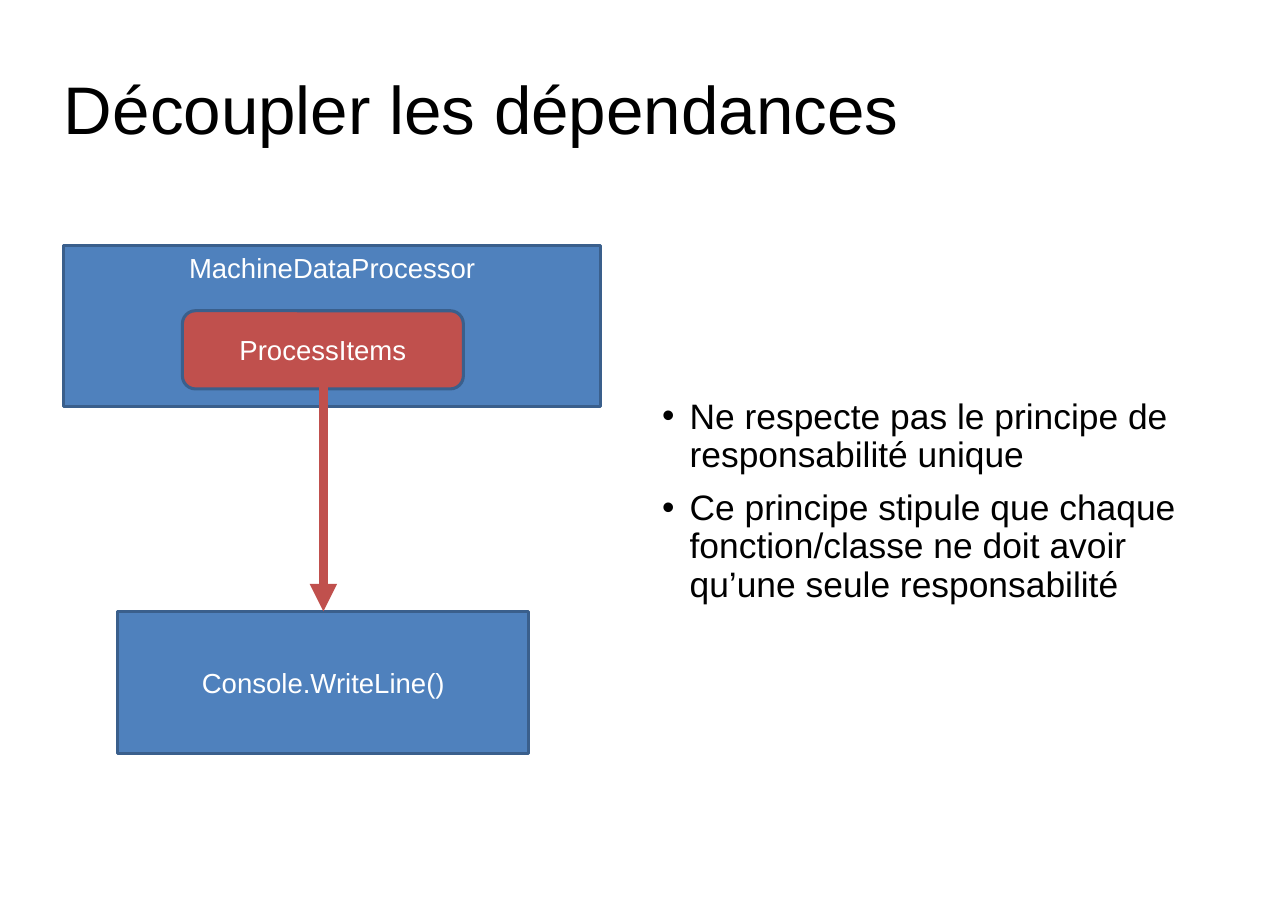
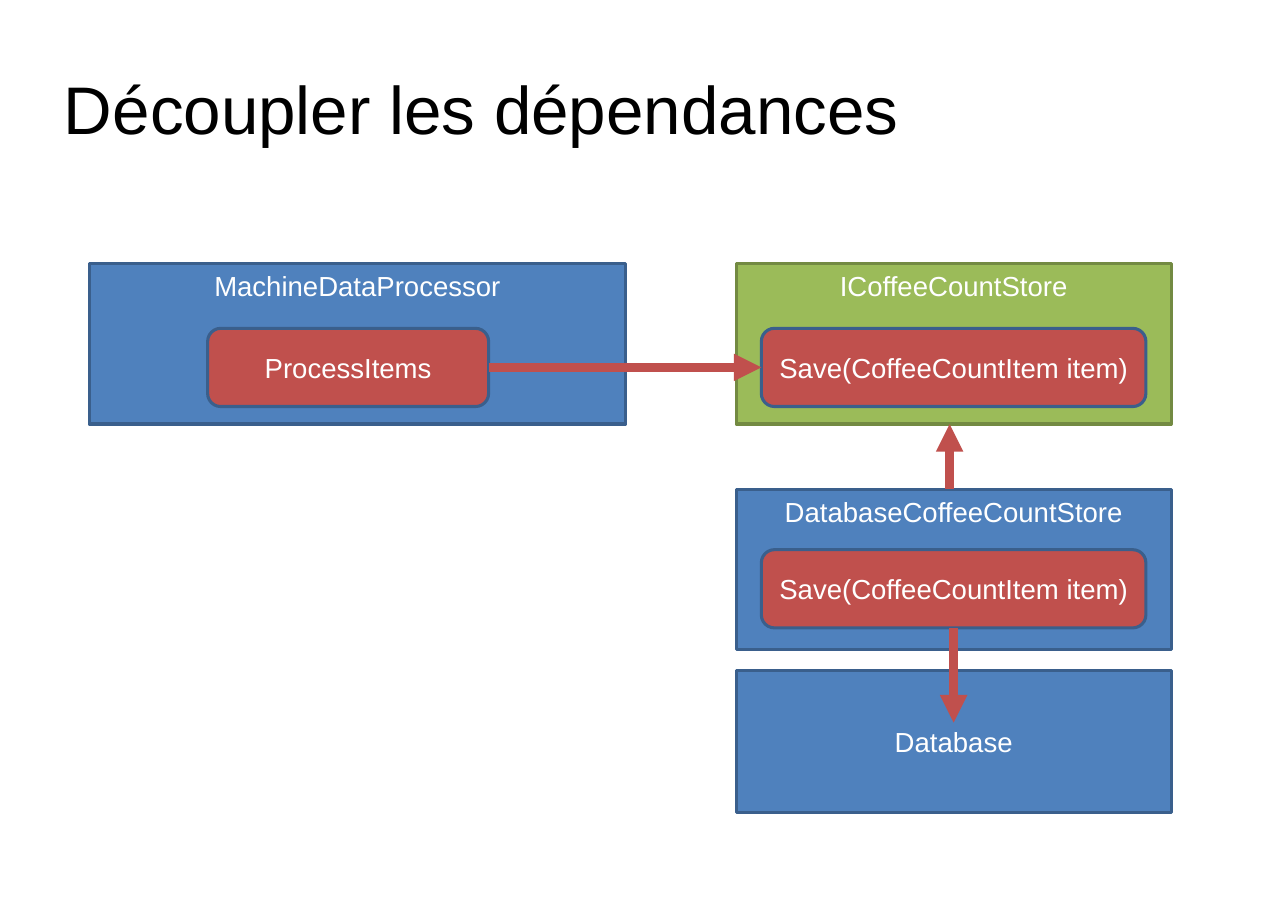
from dataclasses import dataclass

from lxml import etree
from pptx import Presentation
from pptx.dml.color import RGBColor
from pptx.enum import shapes, text
from pptx.oxml import ns
from pptx.util import Pt


@dataclass(frozen=True)
class Theme:
    font: str = "Arial"
    ink: str = "000000"
    light: str = "FFFFFF"
    blue: str = "4F81BD"
    navy: str = "3A5F8C"
    green: str = "9BBB59"
    olive: str = "738A42"
    red: str = "C0504D"
    title: float = 44
    body: float = 23.1
    label: float = 18
    edge: float = 2
    arrow: float = 6


T = Theme()
WIDE, HIGH = 841.68, 595.44
LEFT = 41.8
CLASS_W, CLASS_H = 350.6, 105.1
STORE_W = 284.4
ITEM_W, SAVE_W, CALL_H = 183.6, 251.3, 51.1
END_H = 92.9
ITEM_X, CALL_Y = 77.4, 42.5
TOP, BASE, SIDE_L, SIDE_R = 0, 2, 1, 3

RECT = shapes.MSO_SHAPE.RECTANGLE
ROUND = shapes.MSO_SHAPE.ROUNDED_RECTANGLE
MID = text.MSO_ANCHOR.MIDDLE
HEAD = text.MSO_ANCHOR.TOP


def rgb(code):
    return RGBColor.from_string(code)


def add_run(para, words, size, color):
    run = para.add_run()
    run.text = words
    run.font.name = T.font
    run.font.size = Pt(size)
    run.font.color.rgb = rgb(color)


def add_bullet(para):
    props = para._p.get_or_add_pPr()
    props.set("marL", str(Pt(18)))
    props.set("indent", str(-Pt(18)))
    etree.SubElement(props, ns.qn("a:buFont"), typeface=T.font)
    etree.SubElement(props, ns.qn("a:buChar"), char="•")


def add_text(slide, at, lines, size, anchor=HEAD, bullet=False):
    frame = slide.shapes.add_textbox(*map(Pt, at)).text_frame
    frame.word_wrap = True
    frame.vertical_anchor = anchor
    frame.margin_left = frame.margin_right = 0
    frame.margin_top = frame.margin_bottom = 0
    for num, line in enumerate(lines):
        para = frame.add_paragraph() if num else frame.paragraphs[0]
        para.line_spacing = 0.9
        if bullet:
            para.space_before = Pt(10)
            add_bullet(para)
        add_run(para, line, size, T.ink)


def add_box(slide, at, label, kind=RECT, fill=T.blue, line=T.navy, anchor=MID):
    box = slide.shapes.add_shape(kind, *map(Pt, at))
    box.shadow.inherit = False
    box.fill.solid()
    box.fill.fore_color.rgb = rgb(fill)
    box.line.color.rgb = rgb(line)
    box.line.width = Pt(T.edge)
    frame = box.text_frame
    frame.word_wrap = False
    frame.vertical_anchor = anchor
    para = frame.paragraphs[0]
    para.alignment = text.PP_ALIGN.CENTER
    add_run(para, label, T.label, T.light)
    return box


def add_class(slide, at, label, call, inner, **style):
    """Draw a class with its method inside; inner is the method's x, y and width."""
    x, y, width = inner
    add_box(slide, at, label, anchor=HEAD, **style)
    spot = (at[0] + x, at[1] + y, width, CALL_H)
    return add_box(slide, spot, call, ROUND, T.red)


def add_machine(slide, x, y):
    return add_class(slide, (x, y, CLASS_W, CLASS_H), "MachineDataProcessor",
                     "ProcessItems", (ITEM_X, CALL_Y, ITEM_W))


def add_store(slide, x, y, label, drop, **style):
    inner = ((STORE_W - SAVE_W) / 2, drop, SAVE_W)
    return add_class(slide, (x, y, STORE_W, CLASS_H), label,
                     "Save(CoffeeCountItem item)", inner, **style)


def add_arrow(slide, start, end, tail=None, tip=None):
    """Draw an arrow; tail and tip are (shape, side) pairs to join."""
    arrow = slide.shapes.add_connector(
        shapes.MSO_CONNECTOR.STRAIGHT, *map(Pt, (*start, *end)))
    if tail:
        arrow.begin_connect(*tail)
    if tip:
        arrow.end_connect(*tip)
    arrow.line.color.rgb = rgb(T.red)
    arrow.line.width = Pt(T.arrow)
    etree.SubElement(arrow.line._get_or_add_ln(), ns.qn("a:tailEnd"),
                     type="triangle")
    etree.SubElement(arrow._element.spPr, ns.qn("a:effectLst"))


def add_slide(deck):
    slide = deck.slides.add_slide(deck.slide_layouts[6])
    add_text(slide, (LEFT, 23.8, 757.4, 99.4), ["Découpler les dépendances"],
             T.title, MID)
    return slide


def draw_tight(deck):
    slide = add_slide(deck)
    add_text(slide, (432.7, 260.6, 369.4, 324), [
        "Ne respecte pas le principe de responsabilité unique",
        "Ce principe stipule que chaque fonction/classe ne doit avoir "
        "qu’une seule responsabilité",
    ], T.body, bullet=True)
    add_machine(slide, LEFT, 160.6)
    write = add_box(slide, (77, 399.6, 268.6, END_H), "Console.WriteLine()")
    mid = 77 + 268.6 / 2
    add_arrow(slide, (mid, 244), (mid, 399.6), tip=(write, TOP))


def draw_loose(deck):
    slide = add_slide(deck)
    x, top, data = 481, 172.1, 319.7
    mid = x + STORE_W / 2
    item = add_machine(slide, 58.3, top)
    save = add_store(slide, x, top, "ICoffeeCountStore", CALL_Y,
                     fill=T.green, line=T.olive)
    keep = add_store(slide, x, data, "DatabaseCoffeeCountStore", 39.6)
    add_box(slide, (x, 438.5, STORE_W, END_H), "Database")
    row = top + CALL_Y + CALL_H / 2
    add_arrow(slide, (319, row), (497.5, row), (item, SIDE_R), (save, SIDE_L))
    add_arrow(slide, (mid - 2.6, data), (mid - 2.6, top + CLASS_H))
    add_arrow(slide, (mid, 410.4), (mid, 472.3), tail=(keep, BASE))


def main():
    deck = Presentation()
    deck.slide_width, deck.slide_height = Pt(WIDE), Pt(HIGH)
    draw_tight(deck)
    draw_loose(deck)
    deck.save("out.pptx")


if __name__ == "__main__":
    main()
